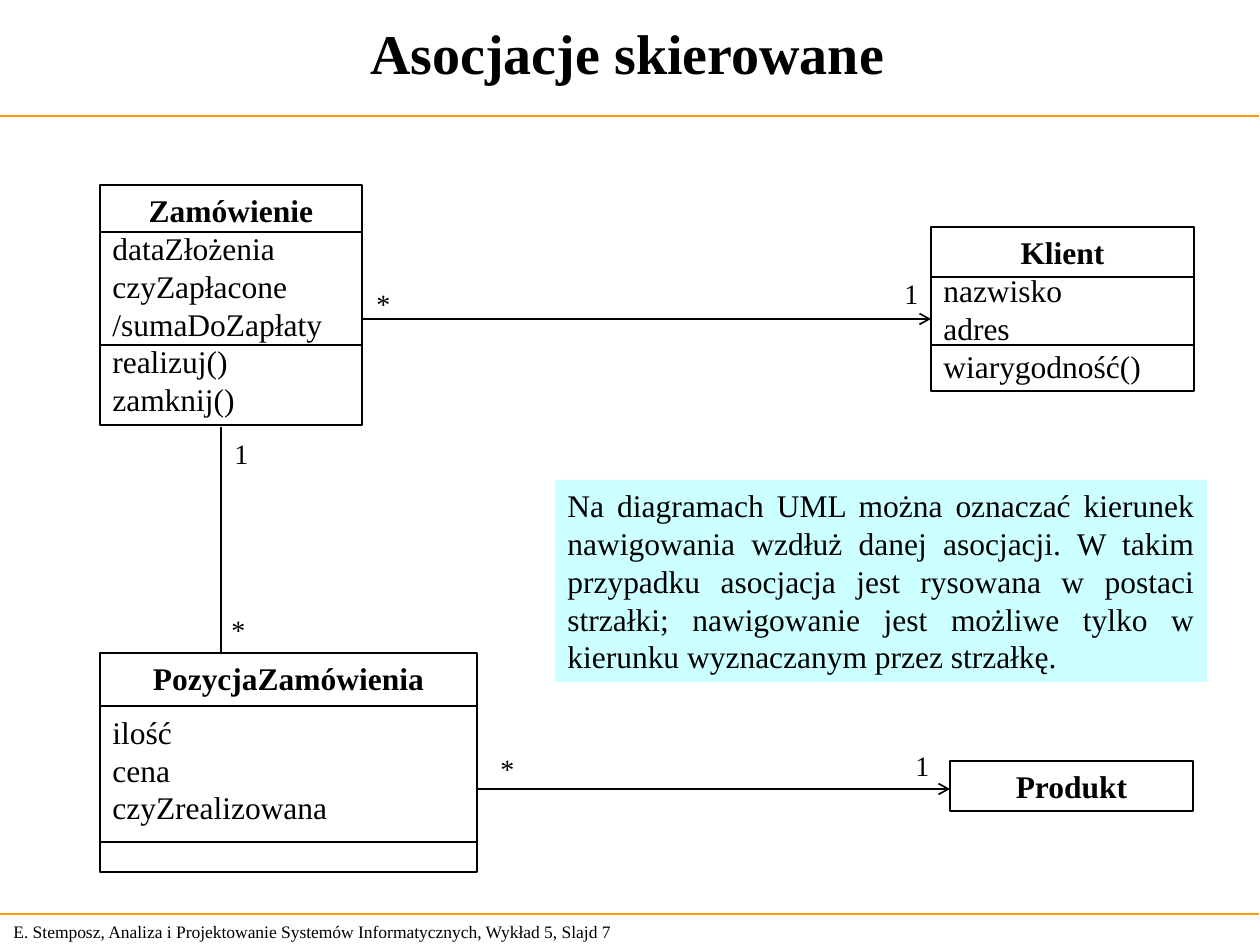
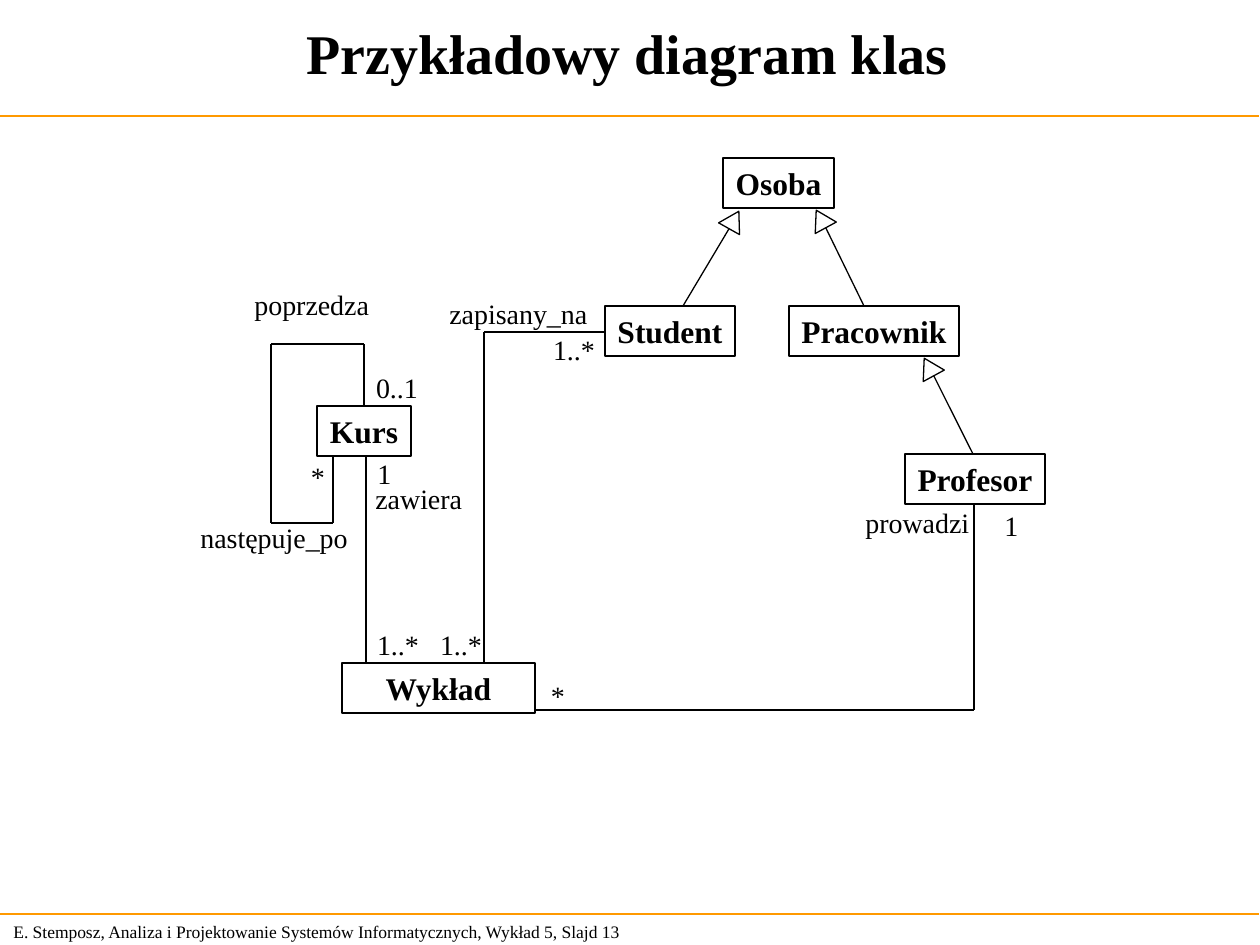
from collections import namedtuple
from itertools import pairwise
from math import cos, radians, sin

from lxml import etree
from pptx import Presentation
from pptx import util as u
from pptx.dml.color import RGBColor
from pptx.enum import shapes, text
from pptx.oxml.ns import qn

SCALE = u.Inches(1) / 126
BLACK = RGBColor(0x00, 0x00, 0x00)
ORANGE = RGBColor(0xFF, 0x99, 0x00)
PALE_CYAN = RGBColor(0xCC, 0xFF, 0xFF)
FONT = "Times New Roman"
LEFT, CENTER, JUSTIFY = text.PP_ALIGN.LEFT, text.PP_ALIGN.CENTER, text.PP_ALIGN.JUSTIFY
MIDDLE, TOP = text.MSO_ANCHOR.MIDDLE, text.MSO_ANCHOR.TOP
TITLE_ONLY = 5
NAME_HEIGHT = 50
FOOTER = "E. Stemposz, Analiza i Projektowanie Systemów Informatycznych, Wykład 5, Slajd {}"


class Box(namedtuple("Box", "x y w h")):
    @property
    def right(self):
        return self.x + self.w

    @property
    def bottom(self):
        return self.y + self.h

    def emu(self):
        return [px(length) for length in self]


def px(length):
    return u.Emu(round(length * SCALE))


def write(para, words, size=18, bold=False, align=LEFT, before=0):
    para.alignment = align
    if before:
        para.space_before = u.Pt(before)
    span = para.add_run()
    span.text = words
    span.font.name = FONT
    span.font.size = u.Pt(size)
    span.font.bold = bold
    span.font.color.rgb = BLACK


def set_frame(frame, wrap=True, anchor=TOP, padded=True):
    frame.word_wrap = wrap
    frame.vertical_anchor = anchor
    frame.margin_left = frame.margin_right = u.Inches(0.1 if padded else 0)
    frame.margin_top = frame.margin_bottom = u.Inches(0.05 if padded else 0)


def add_figure(page, kind, box, fill=None, weight=None):
    figure = page.shapes.add_shape(kind, *box.emu())
    figure.shadow.inherit = False
    if fill is None:
        figure.fill.background()
    else:
        figure.fill.solid()
        figure.fill.fore_color.rgb = fill
    if weight is None:
        figure.line.fill.background()
    else:
        figure.line.color.rgb = BLACK
        figure.line.width = u.Pt(weight)
    return figure


def add_path(page, *points, color=BLACK, weight=1, arrow=False):
    """Join the points with straight lines; an arrow ends the last one."""
    for start, end in pairwise(points):
        line = page.shapes.add_connector(
            shapes.MSO_CONNECTOR.STRAIGHT, *map(px, start + end))
        line.line.color.rgb = color
        line.line.width = u.Pt(weight)
        etree.SubElement(line._element.spPr, qn("a:effectLst"))
    if arrow:
        etree.SubElement(line.line._get_or_add_ln(), qn("a:tailEnd"), type="arrow")


def add_label(page, words, x, y, w=39, h=46, padded=True, align=LEFT):
    label = page.shapes.add_textbox(*Box(x, y, w, h).emu())
    set_frame(label.text_frame, wrap=False, padded=padded)
    write(label.text_frame.paragraphs[0], words, size=16, align=align)


def add_class(page, box, name, members=(), dividers=(), gap=0):
    """Draw a UML class; dividers are distances from the top of its box."""
    frame = add_figure(page, shapes.MSO_SHAPE.RECTANGLE, box, weight=1).text_frame
    set_frame(frame, wrap=bool(members))
    write(frame.paragraphs[0], name, bold=True, align=CENTER)
    for index, member in enumerate(members):
        write(frame.add_paragraph(), member, before=0 if index else gap)
    for offset in dividers:
        y = box.y + offset
        add_path(page, (box.x, y), (box.right, y), weight=0.75)
    return box


def add_inheritance(page, head, child, turn):
    """Draw a hollow triangle centred on head, and a line from its base to child."""
    x, y = head
    triangle = add_figure(page, shapes.MSO_SHAPE.ISOSCELES_TRIANGLE,
                          Box(x - 12, y - 10, 24, 20), weight=0.75)
    triangle.rotation = turn
    angle = radians(turn)
    base = (x - 10 * sin(angle), y + 10 * cos(angle))
    add_path(page, base, child, weight=0.75)


def add_note(page, box, words):
    note = add_figure(page, shapes.MSO_SHAPE.RECTANGLE, box, fill=PALE_CYAN)
    set_frame(note.text_frame)
    write(note.text_frame.paragraphs[0], words, align=JUSTIFY)


def add_page(deck, heading, number):
    page = deck.slides.add_slide(deck.slide_layouts[TITLE_ONLY])
    title = page.shapes.title
    title.left, title.top, title.width, title.height = Box(0, -1, 1255, 107).emu()
    set_frame(title.text_frame, anchor=MIDDLE)
    write(title.text_frame.paragraphs[0], heading, size=32, bold=True, align=CENTER)
    footer = page.shapes.add_textbox(*Box(1, 914, 660, 34).emu())
    set_frame(footer.text_frame, anchor=MIDDLE)
    write(footer.text_frame.paragraphs[0], FOOTER.format(number), size=10)
    for y in (116, 914):
        add_path(page, (-1, y), (1259, y), color=ORANGE, weight=0.75)
    return page


def build_directed_associations(deck):
    page = add_page(deck, "Asocjacje skierowane", 7)
    order = add_class(
        page, Box(100, 185, 262, 240), "Zamówienie",
        ["dataZłożenia", "czyZapłacone", "/sumaDoZapłaty", "realizuj()", "zamknij()"],
        dividers=(47, 160))
    client = add_class(
        page, Box(931, 227, 263, 164), "Klient",
        ["nazwisko", "adres", "wiarygodność()"], dividers=(50, 118))
    item = add_class(
        page, Box(100, 653, 377, 219), "PozycjaZamówienia",
        ["ilość", "cena", "czyZrealizowana"], dividers=(53, 189), gap=9)
    product = add_class(page, Box(950, 761, 243, NAME_HEIGHT), "Produkt")

    for source, target, y in ((order, client, 319), (item, product, 789)):
        add_path(page, (source.right, y), (target.x, y), arrow=True)
    add_path(page, (221, order.bottom + 2), (221, item.y))
    for words, x, y in (("*", 364, 280), ("1", 892, 270), ("*", 488, 745),
                        ("1", 903, 742), ("1", 222, 430), ("*", 219, 606)):
        add_label(page, words, x, y, align=CENTER)

    add_note(page, Box(555, 480, 652, 202),
             "Na diagramach UML można oznaczać kierunek nawigowania wzdłuż danej "
             "asocjacji. W takim przypadku asocjacja jest rysowana w postaci strzałki; "
             "nawigowanie jest możliwe tylko w kierunku wyznaczanym przez strzałkę.")


def build_class_diagram(deck):
    page = add_page(deck, "Przykładowy diagram klas", 13)
    places = {
        "Osoba": (723, 158, 111), "Student": (605, 306, 130),
        "Pracownik": (789, 306, 170), "Kurs": (317, 406, 94),
        "Profesor": (905, 454, 140), "Wykład": (342, 663, 193),
    }
    classes = {name: add_class(page, Box(*place, NAME_HEIGHT), name)
               for name, place in places.items()}
    student, course = classes["Student"], classes["Kurs"]
    professor, lecture = classes["Profesor"], classes["Wykład"]

    add_path(page, (364, course.y), (364, 344), (271, 344),
             (271, 523), (333, 523), (333, course.bottom + 1))
    add_path(page, (366, course.bottom + 1), (366, lecture.y))
    add_path(page, (student.x, 332), (484, 332), (484, lecture.y), weight=0.75)
    add_path(page, (974, professor.bottom), (974, 710), (lecture.right, 710))

    add_inheritance(page, (734, 220), (683, student.y), 29.3)
    add_inheritance(page, (821, 219), (864, classes["Pracownik"].y), -28.5)
    add_inheritance(page, (929, 367), (973, professor.y), -28.5)

    for words, x, y, w in (("poprzedza", 242, 281, 140), ("następuje_po", 188, 514, 173),
                           ("zawiera", 363, 475, 112), ("zapisany_na", 437, 290, 163),
                           ("prowadzi", 853, 499, 129), ("1", 992, 502, 39),
                           ("1", 365, 450, 39)):
        add_label(page, words, x, y, w)
    for words, x, y, w in (("1..*", 553, 333, 42), ("*", 311, 460, 14),
                           ("1..*", 377, 628, 42), ("1..*", 440, 627, 42),
                           ("*", 551, 679, 14), ("0..1", 376, 371, 42)):
        add_label(page, words, x, y, w, h=34, padded=False)


def main():
    deck = Presentation()
    deck.slide_width, deck.slide_height = px(1260), px(945)
    build_directed_associations(deck)
    build_class_diagram(deck)
    deck.save("out.pptx")


if __name__ == "__main__":
    main()
